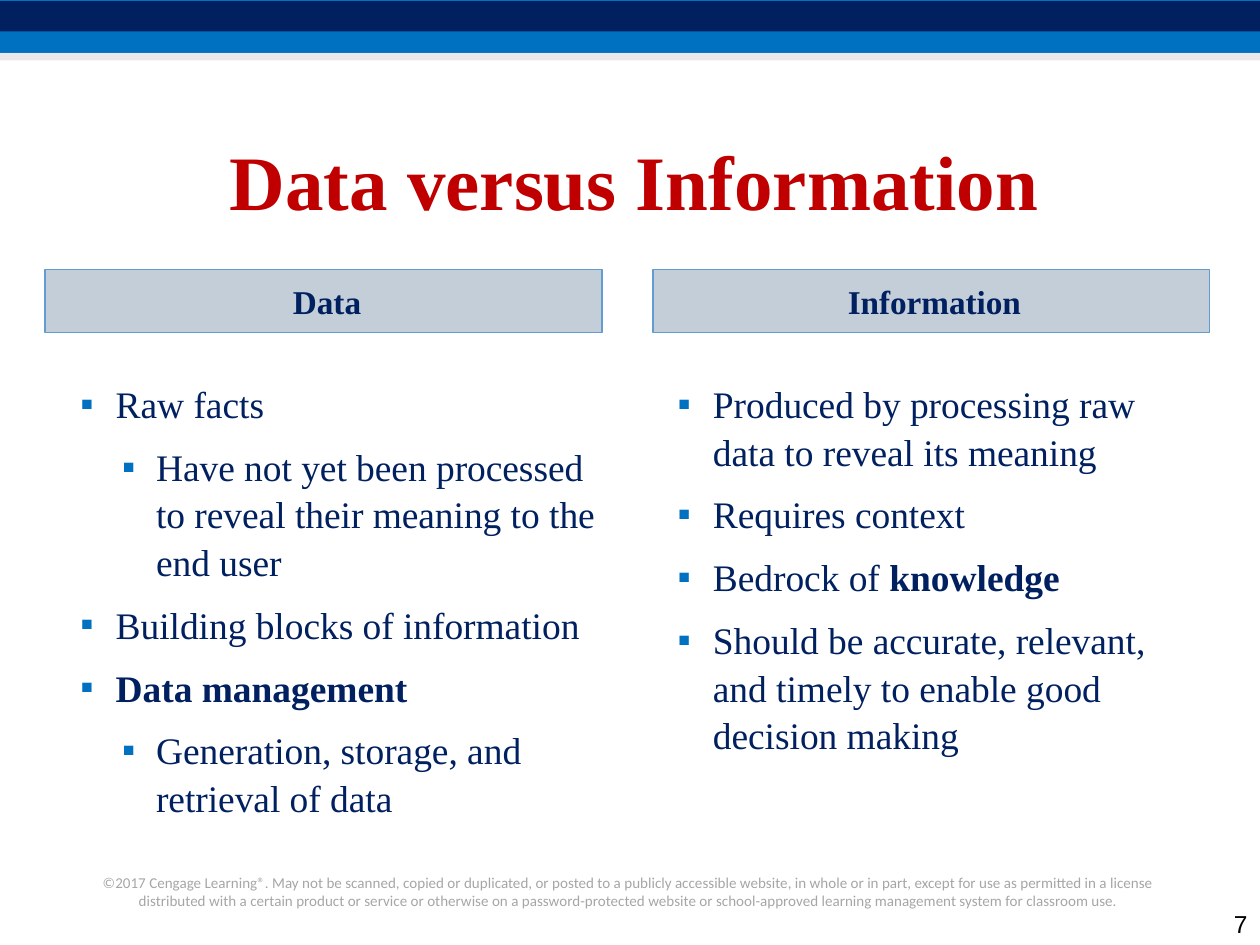
from dataclasses import dataclass

from lxml.etree import SubElement
from pptx import Presentation
from pptx.dml.color import RGBColor
from pptx.enum.shapes import MSO_SHAPE
from pptx.enum.text import MSO_ANCHOR, PP_ALIGN
from pptx.oxml.ns import qn
from pptx.util import Inches, Pt

HUES = {
    "blue": "0070C0",
    "navy": "002060",
    "mist": "D8D3D9",
    "slate": "143F6A",
    "edge": "629DD1",
    "red": "C00000",
    "gray": "A6A6A6",
    "black": "000000",
}
SERIF = "Times New Roman"
LEGAL = (
    "©2017 Cengage Learning®. May not be scanned, copied or duplicated, or posted "
    "to a publicly accessible website, in whole or in part, except for use as "
    "permitted in a license distributed with a certain product or service or "
    "otherwise on a password-protected website or school-approved learning "
    "management system for classroom use."
)


@dataclass(frozen=True)
class Box:
    left: float
    top: float
    width: float
    height: float

    def sides(self) -> list:
        return [Inches(n) for n in (self.left, self.top, self.width, self.height)]


@dataclass(frozen=True)
class Style:
    size: float
    hue: str
    name: str = SERIF
    bold: bool = False


@dataclass(frozen=True)
class Point:
    text: str
    strong: str = ""
    level: int = 0


@dataclass(frozen=True)
class Column:
    head: str
    head_left: float
    list_left: float
    points: tuple


TITLE = Style(44, "red", bold=True)
HEAD = Style(19, "navy", bold=True)
BODY = Style(21.4, "navy")
STRONG = Style(21.4, "navy", bold=True)
SMALL = Style(8.6, "gray", "Calibri")
PAGE = Style(14, "black", "Arial")
INDENTS = ((0.4, -0.28), (0.72, -0.27))

COLUMNS = (
    Column("Data", 0.36, 0.42, (
        Point("Raw facts"),
        Point("Have not yet been processed to reveal their meaning to the end user", level=1),
        Point("Building blocks of information"),
        Point("", "Data management"),
        Point("Generation, storage, and retrieval of data", level=1),
    )),
    Column("Information", 5.18, 5.16, (
        Point("Produced by processing raw data to reveal its meaning"),
        Point("Requires context"),
        Point("Bedrock of ", "knowledge"),
        Point("Should be accurate, relevant, and timely to enable good decision making"),
    )),
)


def paint(hue: str) -> RGBColor:
    return RGBColor.from_string(HUES[hue])


def apply(item, values: dict) -> None:
    for name, value in values.items():
        setattr(item, name, value)


def write(para, text: str, style: Style) -> None:
    run = para.add_run()
    run.text = text
    apply(run.font, {"size": Pt(style.size), "name": style.name, "bold": style.bold})
    run.font.color.rgb = paint(style.hue)


def block(slide, box: Box, hue: str, alpha: int = 100, edge: str = ""):
    shape = slide.shapes.add_shape(MSO_SHAPE.RECTANGLE, *box.sides())
    shape.shadow.inherit = False
    shape.fill.solid()
    shape.fill.fore_color.rgb = paint(hue)
    if alpha < 100:
        tint = shape.fill._xPr.find(qn("a:solidFill"))[0]
        SubElement(tint, qn("a:alpha"), val=str(alpha * 1000))
    if edge:
        shape.line.color.rgb = paint(edge)
        shape.line.width = Pt(1)
    else:
        shape.line.fill.background()
    return shape


def frame(slide, box: Box):
    area = slide.shapes.add_textbox(*box.sides()).text_frame
    area.word_wrap = True
    return area


def label(area, text: str, style: Style, align=PP_ALIGN.CENTER,
          anchor=MSO_ANCHOR.MIDDLE, pitch: float = 1.0) -> None:
    area.vertical_anchor = anchor
    para = area.paragraphs[0]
    apply(para, {"alignment": align, "line_spacing": pitch})
    write(para, text, style)


def bullet(para, level: int) -> None:
    left, hang = INDENTS[level]
    props = para._p.get_or_add_pPr()
    props.set("marL", str(Inches(left)))
    props.set("indent", str(Inches(hang)))
    tint = SubElement(props, qn("a:buClr"))
    SubElement(tint, qn("a:srgbClr"), val=HUES["blue"])
    SubElement(props, qn("a:buFont"), typeface="Arial")
    SubElement(props, qn("a:buChar"), char="▪")


def listing(area, points: tuple) -> None:
    for rank, point in enumerate(points):
        para = area.add_paragraph() if rank else area.paragraphs[0]
        bullet(para, point.level)
        apply(para, {
            "level": point.level,
            "line_spacing": 1.05,
            "space_before": Pt(3 if rank else 0),
            "space_after": Pt(6),
        })
        for text, style in ((point.text, BODY), (point.strong, STRONG)):
            if text:
                write(para, text, style)


def main() -> None:
    deck = Presentation()
    apply(deck, {"slide_width": Inches(10), "slide_height": Inches(7.5)})
    slide = deck.slides.add_slide(deck.slide_layouts[6])

    block(slide, Box(0, 0, 10, 0.42), "blue")
    block(slide, Box(0, 0.01, 10, 0.24), "navy")
    block(slide, Box(0, 0.42, 10, 0.06), "mist", 50)
    label(frame(slide, Box(0.58, 6.88, 8.83, 0.39)), LEGAL, SMALL, anchor=MSO_ANCHOR.TOP)
    label(frame(slide, Box(0.45, 0.89, 9.17, 1.17)), "Data versus Information", TITLE, pitch=0.9)

    for column in COLUMNS:
        head = block(slide, Box(column.head_left, 2.14, 4.42, 0.5), "slate", 25, "edge")
        head.text_frame.margin_left = Inches(0.15)
        label(head.text_frame, column.head, HEAD)
        listing(frame(slide, Box(column.list_left, 2.96, 4.42, 4.25)), column.points)

    label(frame(slide, Box(9.5, 7.17, 0.5, 0.33)), "7", PAGE, PP_ALIGN.RIGHT, MSO_ANCHOR.BOTTOM)
    deck.save("out.pptx")


if __name__ == "__main__":
    main()
